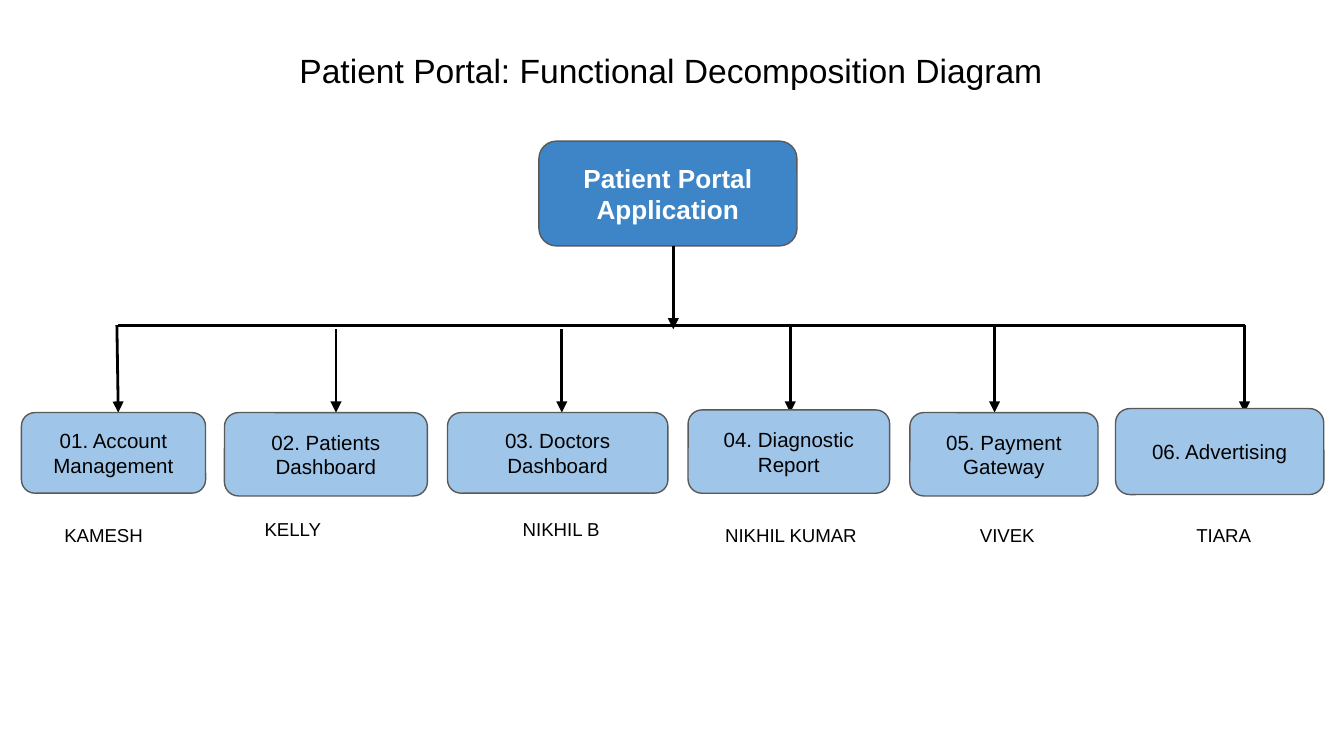
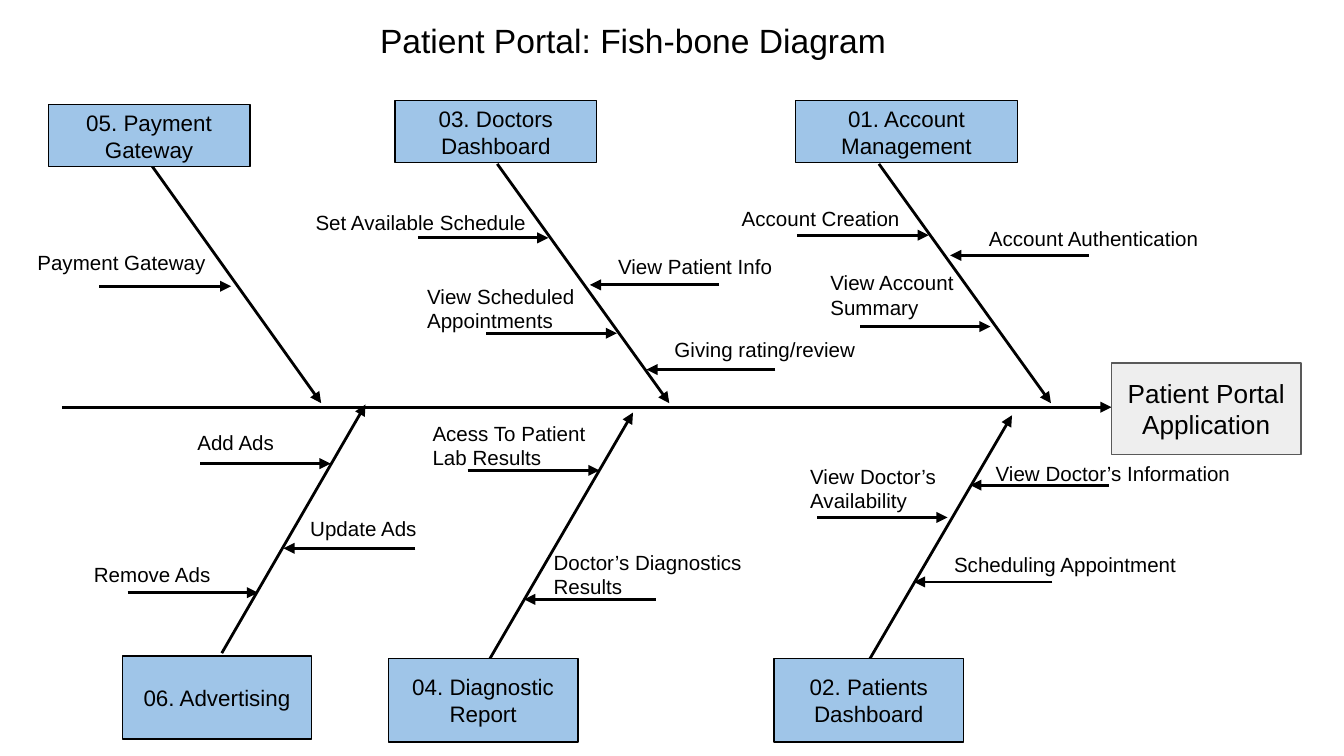
"""Build the patient portal decomposition and fish-bone slides."""
from pptx import Presentation
from pptx.dml.color import RGBColor
from pptx.enum.shapes import MSO_CONNECTOR as Link, MSO_SHAPE as Preset
from pptx.enum.text import MSO_ANCHOR as Anchor, MSO_AUTO_SIZE as Fit, PP_ALIGN as Align
from pptx.oxml.ns import qn
from pptx.util import Inches, Pt
from lxml.etree import SubElement

BLACK, WHITE, GRAY = "000000", "FFFFFF", "595959"
BLUE, LIGHT_BLUE, PALE = "3D85C6", "9FC5E8", "EEEEEE"
FONT = "Arial"
APPLICATION = ["Patient Portal", "Application"]

TREE_TITLE = ("Patient Portal: Functional Decomposition Diagram", (2.13, 0.32, 5.77, 0.4))
ROOT_BOX = (4.01, 1.05, 1.92, 0.78)
TRUNK = ((5.01, 1.83), (5.01, 2.45))
RAIL = ((0.88, 2.42), (9.26, 2.42))
BRANCH_END = 3.07
OWNER_HEIGHT = 0.32
MODULES = [
    ("01. Account Management", (0.16, 3.07, 1.37, 0.6), (0.87, 2.42, 0.88),
     "KAMESH", (0.38, 3.8, 1.52), Align.LEFT),
    ("02. Patients Dashboard", (1.67, 3.07, 1.51, 0.62), (2.5, 2.45, 2.5),
     "KELLY", (1.87, 3.75, 1.37), Align.LEFT),
    ("03. Doctors Dashboard", (3.33, 3.07, 1.64, 0.6), (4.18, 2.45, 4.18),
     "NIKHIL B", (3.49, 3.75, 1.37), Align.CENTER),
    ("04. Diagnostic Report", (5.12, 3.05, 1.5, 0.62), (5.88, 2.43, 5.88),
     "NIKHIL KUMAR", (5.2, 3.8, 1.37), Align.CENTER),
    ("05. Payment Gateway", (6.77, 3.07, 1.4, 0.62), (7.4, 2.43, 7.4),
     "VIVEK", (6.81, 3.8, 1.37), Align.CENTER),
    ("06. Advertising", (8.3, 3.04, 1.55, 0.64), (9.26, 2.42, 9.26),
     "TIARA", (8.42, 3.8, 1.37), Align.CENTER),
]

FISH_TITLE = ("Patient Portal: Fish-bone Diagram", (2.73, 0.1, 4, 0.4))
HEAD_BOX = (8.27, 2.7, 1.41, 0.68)
SPINE = ((0.46, 3.03), (8.27, 3.03))
BONES = [
    ("05. Payment Gateway", (0.36, 0.78, 1.5, 0.46), ((1.12, 1.22), (2.39, 3)), [
        ("Payment Gateway", (0.18, 1.76, 1.5, 0.34), (0.74, 1.72, 2.13))]),
    ("03. Doctors Dashboard", (2.94, 0.75, 1.5, 0.46), ((3.7, 1.22), (4.98, 3)), [
        ("Set Available Schedule", (2.25, 1.46, 1.93, 0.35), (3.11, 4.08, 1.77)),
        ("View Patient Info", (4.5, 1.79, 1.65, 0.48), (5.35, 4.39, 2.12)),
        ("View Scheduled Appointments", (3.08, 2.01, 1.86, 0.36), (3.62, 4.59, 2.48)),
        ("Giving rating/review", (4.92, 2.41, 1.65, 0.48), (5.77, 4.81, 2.75))]),
    ("01. Account Management", (5.92, 0.75, 1.65, 0.46), ((6.54, 1.22), (7.82, 3)), [
        ("Account Creation", (5.42, 1.43, 1.45, 0.32), (5.93, 6.91, 1.75)),
        ("Account Authentication", (7.26, 1.58, 1.77, 0.48), (8.1, 7.07, 1.9)),
        ("View Account Summary", (6.08, 1.91, 1.18, 0.48), (6.4, 7.37, 2.43))]),
    ("06. Advertising", (0.91, 4.88, 1.41, 0.62), ((1.65, 4.86), (2.72, 3.01)), [
        ("Add Ads", (1.37, 3.1, 0.79, 0.48), (1.49, 2.46, 3.45)),
        ("Update Ads", (2.21, 3.74, 2.02, 0.48), (3.09, 2.11, 4.08)),
        ("Remove Ads", (0.6, 4.08, 1.33, 0.48), (0.95, 1.92, 4.41))]),
    ("04. Diagnostic Report", (2.89, 4.9, 1.41, 0.62), ((3.64, 4.91), (4.71, 3.07)), [
        ("Acess To Patient Lab Results", (3.12, 3.03, 1.47, 0.48), (3.48, 4.46, 3.5)),
        ("Doctor’s Diagnostics Results", (4.02, 3.99, 2.02, 0.49), (4.88, 3.9, 4.46))]),
    ("02. Patients Dashboard", (5.76, 4.9, 1.41, 0.62), ((6.45, 4.94), (7.53, 3.09)), [
        ("View Doctor’s Availability", (5.93, 3.35, 1.77, 0.48), (6.08, 7.05, 3.85)),
        ("View Doctor’s Information", (7.31, 3.33, 2.02, 0.48), (8.25, 7.22, 3.61)),
        ("Scheduling Appointment", (7, 4.01, 1.95, 0.48), (7.83, 6.8, 4.33))]),
]


def color(value):
    return RGBColor.from_string(value)


def write(box, lines, size, ink=BLACK, bold=False, align=Align.LEFT, anchor=Anchor.TOP,
          inset=0.1, fit=Fit.NONE):
    frame = box.text_frame
    settings = {"word_wrap": True, "auto_size": fit, "vertical_anchor": anchor,
                "margin_left": Inches(0.1), "margin_right": Inches(0.1),
                "margin_top": Inches(inset), "margin_bottom": Inches(inset)}
    for name, value in settings.items():
        setattr(frame, name, value)
    for index, line in enumerate(lines):
        para = frame.add_paragraph() if index else frame.paragraphs[0]
        para.alignment = align
        span = para.add_run()
        span.text = line
        for name, value in {"name": FONT, "size": Pt(size), "bold": bold}.items():
            setattr(span.font, name, value)
        span.font.color.rgb = color(ink)


def add_label(page, text, place, size=11, **style):
    box = page.shapes.add_textbox(*map(Inches, place))
    write(box, [text], size, **style)


def add_title(page, text, place):
    add_label(page, text, place, size=18, inset=0.05, fit=Fit.SHAPE_TO_FIT_TEXT)


def add_box(page, lines, place, size, preset=Preset.RECTANGLE, fill=LIGHT_BLUE,
            edge=BLACK, **style):
    box = page.shapes.add_shape(preset, *map(Inches, place))
    box.shadow.inherit = False
    box.fill.solid()
    box.fill.fore_color.rgb = color(fill)
    box.line.color.rgb = color(edge)
    box.line.width = Pt(0.75)
    write(box, lines, size, align=Align.CENTER, anchor=Anchor.MIDDLE, **style)


def add_line(page, start, end, arrow=True):
    line = page.shapes.add_connector(Link.STRAIGHT, *map(Inches, (*start, *end)))
    line.line.color.rgb = color(BLACK)
    line.line.width = Pt(1.5)
    if arrow:
        SubElement(line.line._get_or_add_ln(), qn("a:tailEnd"), type="triangle")
    SubElement(line._element.spPr, qn("a:effectLst"))


def build_tree(page):
    rounded = {"preset": Preset.ROUNDED_RECTANGLE, "edge": GRAY}
    add_title(page, *TREE_TITLE)
    add_box(page, APPLICATION, ROOT_BOX, 14, fill=BLUE, ink=WHITE, bold=True, **rounded)
    add_line(page, *RAIL, arrow=False)
    add_line(page, *TRUNK)
    for module, place, (start, top, end), owner, owner_place, align in MODULES:
        add_line(page, (start, top), (end, BRANCH_END))
        add_box(page, [module], place, 11, **rounded)
        add_label(page, owner, (*owner_place, OWNER_HEIGHT), size=10, align=align)


def build_fish(page):
    add_title(page, *FISH_TITLE)
    add_line(page, *SPINE)
    add_box(page, APPLICATION, HEAD_BOX, 14, fill=PALE, edge=GRAY)
    for module, place, rib, twigs in BONES:
        add_line(page, *rib)
        add_box(page, [module], place, 12)
        for text, text_place, (tail, tip, level) in twigs:
            add_label(page, text, text_place)
            add_line(page, (tail, level), (tip, level))


deck = Presentation()
deck.slide_width = Inches(10)
deck.slide_height = deck.slide_width * 9 // 16
for build in (build_tree, build_fish):
    build(deck.slides.add_slide(deck.slide_layouts[6]))
deck.save("out.pptx")
